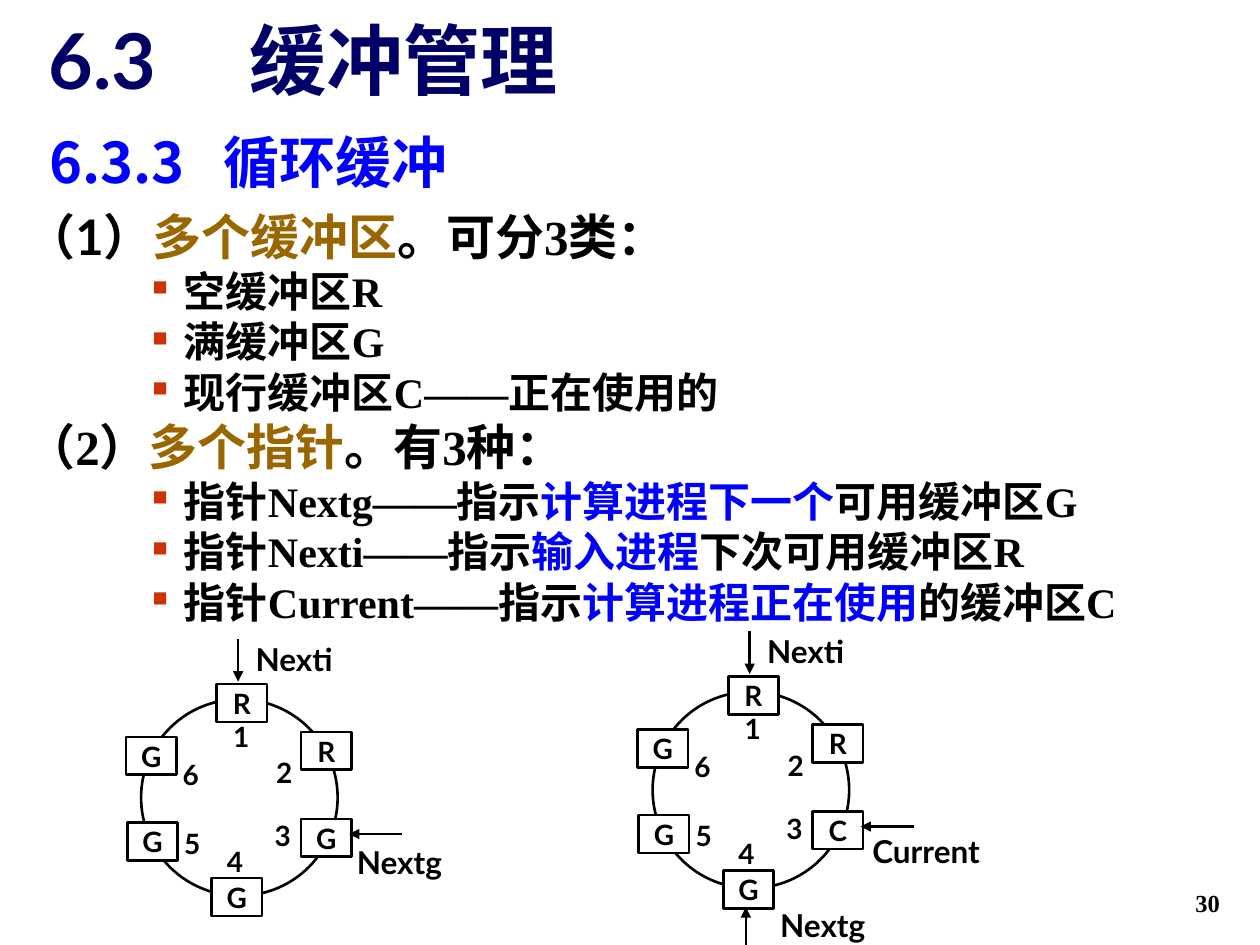
from lxml.etree import SubElement
from pptx import Presentation
from pptx.dml.color import RGBColor
from pptx.enum.shapes import MSO_CONNECTOR, MSO_SHAPE
from pptx.enum.text import MSO_ANCHOR, MSO_AUTO_SIZE, PP_ALIGN
from pptx.oxml.ns import qn
from pptx.util import Pt

EMU_PER_PX = 9144
BLACK = RGBColor(0x00, 0x00, 0x00)
WHITE = RGBColor(0xFF, 0xFF, 0xFF)
NAVY = RGBColor(0x00, 0x00, 0x66)
BLUE = RGBColor(0x00, 0x00, 0xFF)
BROWN = RGBColor(0x99, 0x66, 0x00)
RED = RGBColor(0xCC, 0x33, 0x00)
LATO, NOTO, TIMES = "Lato", "Noto Sans CJK SC", "Times New Roman"

BODY = [
    (28, [("（", BLACK, NOTO), ("1", BLACK, LATO), ("）", BLACK, NOTO),
          ("多个缓冲区", BROWN, TIMES), ("。可分3类：", BLACK, TIMES)]),
    (24, [("空缓冲区R", BLACK, TIMES)]),
    (24, [("满缓冲区G", BLACK, TIMES)]),
    (24, [("现行缓冲区C——正在使用的", BLACK, TIMES)]),
    (28, [("（2）", BLACK, TIMES), ("多个指针", BROWN, TIMES), ("。有3种：", BLACK, TIMES)]),
    (24, [("指针Nextg——指示", BLACK, TIMES), ("计算进程下一个", BLUE, TIMES),
          ("可用缓冲区G", BLACK, TIMES)]),
    (24, [("指针Nexti——指示", BLACK, TIMES), ("输入进程", BLUE, TIMES),
          ("下次可用缓冲区R", BLACK, TIMES)]),
    (24, [("指针Current——指示", BLACK, TIMES), ("计算进程正在使用", BLUE, TIMES),
          ("的缓冲区C", BLACK, TIMES)]),
]
BUFFERS = [(60, -12), (127, 26), (127, 95), (56, 142), (-11, 98), (-12, 30)]
NUMBERS = [(61, 15), (95, 44), (94, 94), (56, 114), (22, 100), (21, 45)]
RINGS = [
    (112, 555, "RRGGGG", [("Nextg", 159, 113, 92)], []),
    (518, 549, "RRCGGG", [("Current", 163, 110, 108), ("Nextg", 89, 169, 92)],
     [(74, 201, 74, 171)]),
]
RING_ARROWS = [(77, -48, 77, -14), (207, 107, 165, 107)]


def px(length):
    """Turn px into EMU."""
    return int(length * EMU_PER_PX)


def assign(target, values):
    """Set attributes of an object from a dict."""
    for name, value in values.items():
        setattr(target, name, value)


class SlideBuilder:
    """Hold the style and the current slide."""

    line_width = Pt(1.5)
    small_margins = {"margin_left": px(2), "margin_right": px(2),
                     "margin_top": px(1), "margin_bottom": px(1)}

    def __init__(self, slide):
        """Keep the slide to draw on."""
        self.slide = slide

    def place(self, shape, left, top, width, height):
        """Move and size a shape."""
        assign(shape, {"left": px(left), "top": px(top),
                       "width": px(width), "height": px(height)})

    def run(self, paragraph, text, size, color, latin, east_asian):
        """Add a bold run with its fonts."""
        run = paragraph.add_run()
        run.text = text
        assign(run.font, {"name": latin, "size": Pt(size), "bold": True})
        run.font.color.rgb = color
        SubElement(run.font._element, qn("a:ea"), typeface=east_asian)

    def tab(self, paragraph, position):
        """Add one left tab stop."""
        tabs = SubElement(paragraph._p.get_or_add_pPr(), qn("a:tabLst"))
        SubElement(tabs, qn("a:tab"), pos=str(px(position)), algn="l")

    def heading(self, shape, number, name, size, color, font, top, gap, bottom):
        """Format a heading whose name starts at a tab stop."""
        self.place(shape, 29, top, 943, 76)
        frame = shape.text_frame
        assign(frame, {"word_wrap": True, "auto_size": MSO_AUTO_SIZE.NONE,
                       "vertical_anchor": MSO_ANCHOR.BOTTOM, "margin_bottom": px(bottom)})
        paragraph = frame.paragraphs[0]
        self.tab(paragraph, gap)
        paragraph.alignment = PP_ALIGN.LEFT
        self.run(paragraph, f"{number}\t{name}", size, color, font, font)

    def bullet(self, paragraph, is_item):
        """Set the indent and the bullet of a body paragraph."""
        properties = paragraph._p.get_or_add_pPr()
        indent, hanging = (125, 25) if is_item else (38, 38)
        properties.set("marL", str(px(indent)))
        properties.set("indent", str(-px(hanging)))
        if is_item:
            paragraph.level = 2
            color = SubElement(properties, qn("a:buClr"))
            SubElement(color, qn("a:srgbClr"), val=str(RED))
            SubElement(properties, qn("a:buSzPct"), val="50000")
            SubElement(properties, qn("a:buFont"), typeface="Wingdings", charset="2")
            SubElement(properties, qn("a:buChar"), char="n")
        else:
            SubElement(properties, qn("a:buNone"))

    def body(self, shape, lines):
        """Fill the body placeholder."""
        self.place(shape, 11, 159, 960, 391)
        frame = shape.text_frame
        assign(frame, {"word_wrap": True, "auto_size": MSO_AUTO_SIZE.NONE,
                       "margin_top": px(5)})
        for index, (size, runs) in enumerate(lines):
            paragraph = frame.add_paragraph() if index else frame.paragraphs[0]
            self.bullet(paragraph, size == 24)
            assign(paragraph, {"space_before": Pt(0), "alignment": PP_ALIGN.LEFT,
                               "line_spacing": 1.0})
            for text, color, font in runs:
                self.run(paragraph, text, size, color, font, NOTO)

    def label(self, text, left, top, width, height, size):
        """Add a centred label."""
        box = self.slide.shapes.add_textbox(px(left), px(top), px(width), px(height))
        assign(box.text_frame, {"word_wrap": True, **self.small_margins})
        paragraph = box.text_frame.paragraphs[0]
        paragraph.alignment = PP_ALIGN.CENTER
        self.run(paragraph, text, size, BLACK, LATO, LATO)

    def outline(self, kind, left, top, width, height):
        """Add an unfilled shape with a black line."""
        shape = self.slide.shapes.add_shape(kind, px(left), px(top), px(width), px(height))
        shape.shadow.inherit = False
        shape.fill.background()
        shape.line.color.rgb = BLACK
        shape.line.width = self.line_width
        return shape

    def buffer(self, text, left, top):
        """Add a white buffer box with its letter."""
        shape = self.outline(MSO_SHAPE.RECTANGLE, left, top, 40, 30)
        shape.fill.solid()
        shape.fill.fore_color.rgb = WHITE
        assign(shape.text_frame, {"word_wrap": False, "vertical_anchor": MSO_ANCHOR.MIDDLE,
                                  **self.small_margins})
        paragraph = shape.text_frame.paragraphs[0]
        paragraph.alignment = PP_ALIGN.CENTER
        self.run(paragraph, text, 16, BLACK, LATO, LATO)

    def arrow(self, *ends):
        """Add a line with an arrowhead at its end."""
        line = self.slide.shapes.add_connector(MSO_CONNECTOR.STRAIGHT, *map(px, ends))
        line.line.color.rgb = BLACK
        line.line.width = self.line_width
        SubElement(line.line._get_or_add_ln(), qn("a:tailEnd"), type="triangle")
        SubElement(line._element.spPr, qn("a:effectLst"))

    def ring(self, left, top, letters, pointers, extra_arrows):
        """Draw a ring of numbered buffers with its pointers."""
        self.outline(MSO_SHAPE.OVAL, left, top, 156, 156)
        for letter, (x, y) in zip(letters, BUFFERS):
            self.buffer(letter, left + x, top + y)
        for number, (x, y) in enumerate(NUMBERS, 1):
            self.label(str(number), left + x, top + y, 37, 29, 16)
        for x1, y1, x2, y2 in RING_ARROWS + extra_arrows:
            self.arrow(left + x1, top + y1, left + x2, top + y2)
        for name, x, y, width in [("Nexti", 68, -48, 107)] + pointers:
            self.label(name, left + x, top + y, width, 32, 18)

    def page_number(self, text):
        """Add the page number at the lower right."""
        box = self.slide.shapes.add_textbox(px(770), px(683), px(208), px(50))
        assign(box.text_frame, {"word_wrap": True, "vertical_anchor": MSO_ANCHOR.BOTTOM})
        paragraph = box.text_frame.paragraphs[0]
        paragraph.alignment = PP_ALIGN.RIGHT
        self.run(paragraph, text, 14, BLACK, TIMES, TIMES)


def main():
    """Build and save the slide."""
    presentation = Presentation()
    assign(presentation, {"slide_width": px(1000), "slide_height": px(750)})
    slide = presentation.slides.add_slide(presentation.slide_layouts[1])
    builder = SlideBuilder(slide)
    builder.page_number("30")
    builder.heading(slide.shapes.title, "6.3.3", "循环缓冲", 32, BLUE, NOTO, 88, 138, 9)
    builder.body(slide.placeholders[1], BODY)
    for ring in RINGS:
        builder.ring(*ring)
    chapter = slide.shapes.add_textbox(0, 0, 0, 0)
    builder.heading(chapter, "6.3", "缓冲管理", 44, NAVY, LATO, 12, 159, 5)
    presentation.save("out.pptx")


if __name__ == "__main__":
    main()
